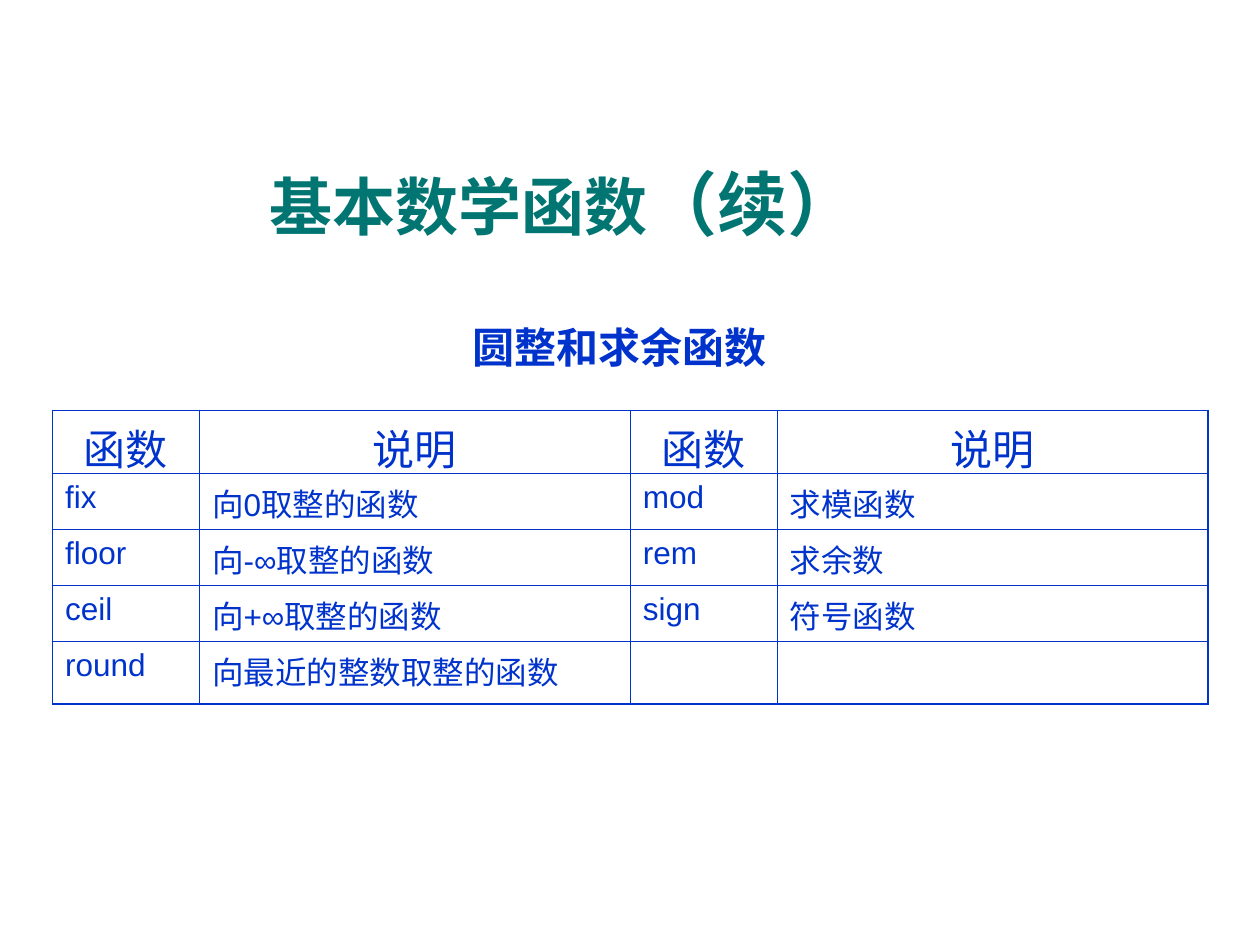
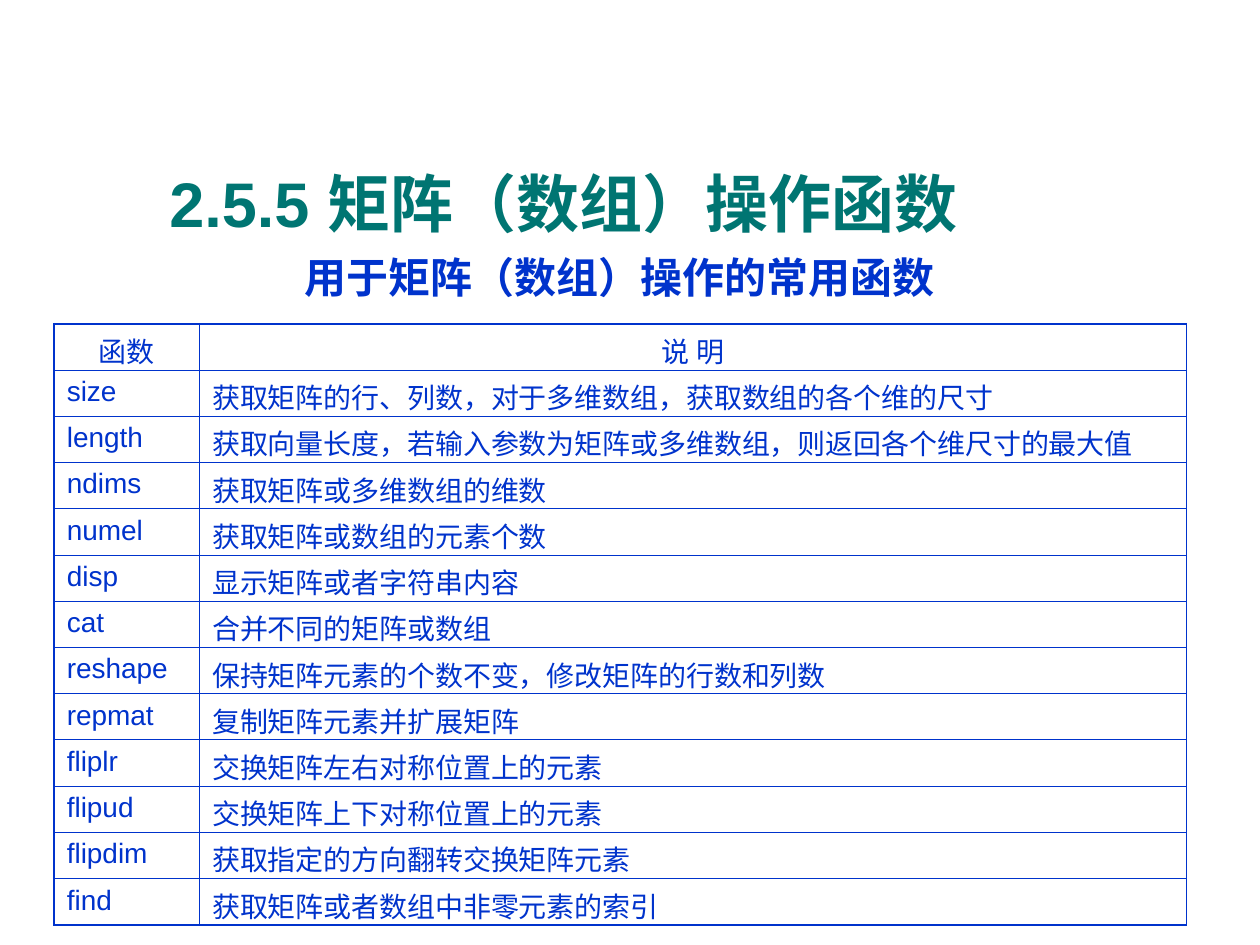
from lxml import etree
from pptx import Presentation
from pptx.dml.color import RGBColor
from pptx.enum.text import MSO_ANCHOR, MSO_AUTO_SIZE, PP_ALIGN
from pptx.oxml.ns import qn
from pptx.util import Pt

CENTER, LEFT = PP_ALIGN.CENTER, PP_ALIGN.LEFT
MIDDLE = MSO_ANCHOR.MIDDLE
NO_FIT = MSO_AUTO_SIZE.NONE
TITLE_ONLY = 5
FONT = "Arial"
COLORS = {"title": "007572", "text": "0033CC"}
OUTER, INNER = 1.08, 0.45

ROUNDING = [
    ("函数", "说明", "函数", "说明"),
    ("fix", "向0取整的函数", "mod", "求模函数"),
    ("floor", "向-∞取整的函数", "rem", "求余数"),
    ("ceil", "向+∞取整的函数", "sign", "符号函数"),
    ("round", "向最近的整数取整的函数", "", ""),
]
MATRIX = [
    ("函数", "说 明"),
    ("size", "获取矩阵的行、列数，对于多维数组，获取数组的各个维的尺寸"),
    ("length", "获取向量长度，若输入参数为矩阵或多维数组，则返回各个维尺寸的最大值"),
    ("ndims", "获取矩阵或多维数组的维数"),
    ("numel", "获取矩阵或数组的元素个数"),
    ("disp", "显示矩阵或者字符串内容"),
    ("cat", "合并不同的矩阵或数组"),
    ("reshape", "保持矩阵元素的个数不变，修改矩阵的行数和列数"),
    ("repmat", "复制矩阵元素并扩展矩阵"),
    ("fliplr", "交换矩阵左右对称位置上的元素"),
    ("flipud", "交换矩阵上下对称位置上的元素"),
    ("flipdim", "获取指定的方向翻转交换矩阵元素"),
    ("find", "获取矩阵或者数组中非零元素的索引"),
]


def style(run, size, color, bold=False):
    font = run.font
    font.name, font.size, font.bold = FONT, Pt(size), bold
    font.color.rgb = RGBColor.from_string(COLORS[color])


def place(shape, left, top, width, height):
    shape.left, shape.top = Pt(left), Pt(top)
    shape.width, shape.height = Pt(width), Pt(height)


def add_title(slide, *parts):
    """Fill the title with (text, size) parts."""
    title = slide.shapes.title
    place(title, 42.5, 87.8, 558.7, 55.4)
    frame = title.text_frame
    frame.vertical_anchor, frame.auto_size = MIDDLE, NO_FIT
    para = frame.paragraphs[0]
    para.alignment = CENTER
    for text, size in parts:
        run = para.add_run()
        run.text = text
        style(run, size, "title", True)


def add_caption(slide, text, top):
    box = slide.shapes.add_textbox(Pt(41.8), Pt(top), Pt(624), Pt(44.6))
    frame = box.text_frame
    frame.word_wrap = True
    frame.text = text
    para = frame.paragraphs[0]
    para.alignment, para.line_spacing = CENTER, 1.3
    style(para.runs[0], 24, "text", True)


def add_border(cell, side, width):
    props = cell._tc.get_or_add_tcPr()
    line = etree.SubElement(props, qn(f"a:ln{side}"), w=str(Pt(width)))
    fill = etree.SubElement(line, qn("a:solidFill"))
    etree.SubElement(fill, qn("a:srgbClr"), val=COLORS["text"])


def fill_cell(cell, text, size, align):
    cell.text = text
    para = cell.text_frame.paragraphs[0]
    para.alignment = align
    para.font.size = Pt(size)
    for run in para.runs:
        style(run, size, "text")


def add_grid(slide, rows, left, top, widths, heights, sizes):
    """Add a table; sizes are the head and body text sizes."""
    count, span = len(rows), len(widths)
    frame = slide.shapes.add_table(count, span, Pt(left), Pt(top),
                                   Pt(sum(widths)), Pt(sum(heights)))
    table = frame.table
    table.first_row = table.horz_banding = False
    for col, width in zip(table.columns, widths):
        col.width = Pt(width)
    for r, (row, height) in enumerate(zip(rows, heights)):
        table.rows[r].height = Pt(height)
        for c, text in enumerate(row):
            cell = table.cell(r, c)
            fill_cell(cell, text, sizes[r > 0], LEFT if r else CENTER)
            edges = {"L": c == 0, "R": c == span - 1,
                     "T": r == 0, "B": r == count - 1}
            for side, outer in edges.items():
                add_border(cell, side, OUTER if outer else INNER)
            cell.fill.background()


def main():
    deck = Presentation()
    deck.slide_width, deck.slide_height = Pt(720), Pt(540)
    layout = deck.slide_layouts[TITLE_ONLY]

    slide = deck.slides.add_slide(layout)
    add_caption(slide, "圆整和求余函数", 171.4)
    add_title(slide, ("基本数学函数", 36), ("（续）", 40))
    add_grid(slide, ROUNDING, 30, 234.5, [84, 246.2] * 2,
             [36, 32, 32, 32, 36], (24, 18))

    slide = deck.slides.add_slide(layout)
    add_caption(slide, "用于矩阵（数组）操作的常用函数", 131.8)
    add_title(slide, ("2.5.5 矩阵（数组）操作函数", 36))
    add_grid(slide, MATRIX, 31, 185, [83, 564], [26.4] * len(MATRIX), (16, 16))

    deck.save("out.pptx")


if __name__ == "__main__":
    main()
